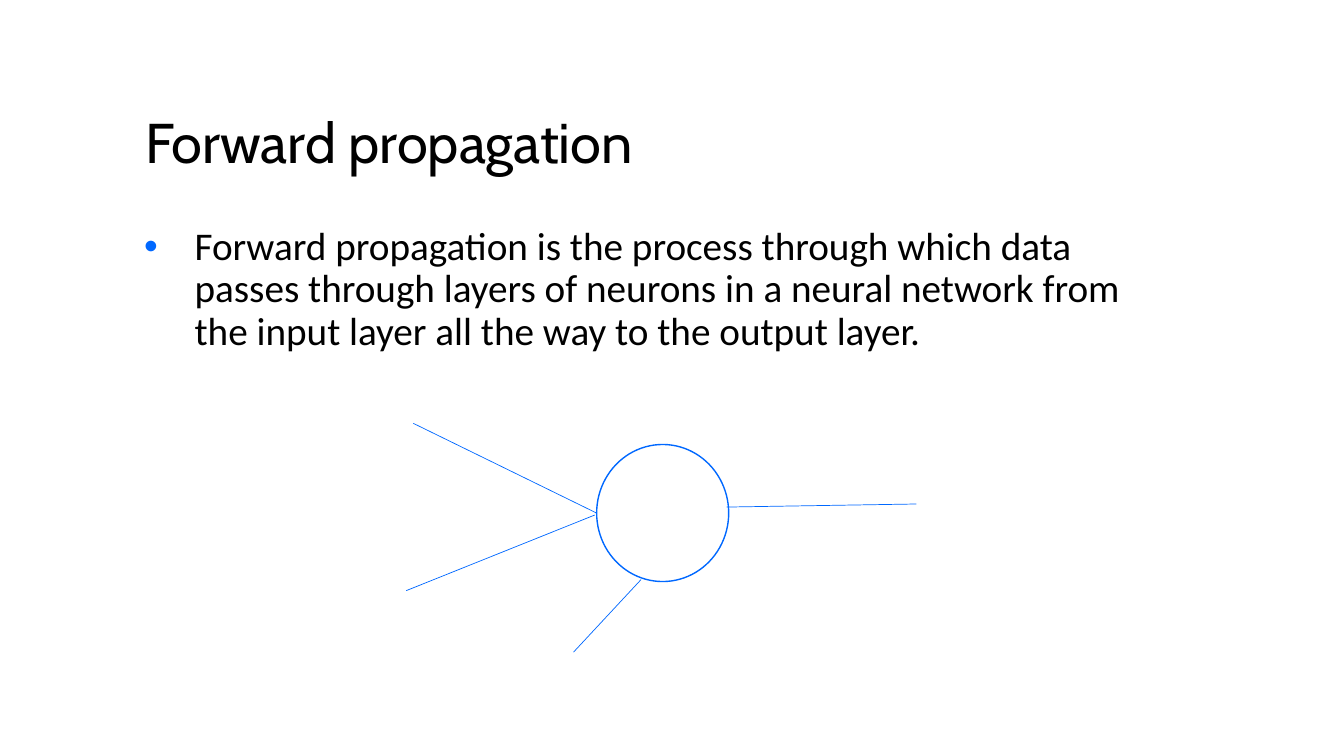
import pptx
import pptx.util
import pptx.dml.color
import pptx.enum.shapes
import pptx.enum.text
import pptx.oxml.ns
import lxml.etree

Pt = pptx.util.Pt
RGBColor = pptx.dml.color.RGBColor
BLACK = RGBColor(0, 0, 0)
WHITE = RGBColor(255, 255, 255)
BLUE = RGBColor(0, 104, 255)

TITLE = "Forward propagation"
BODY = ("Forward propagation is the process through which data passes through "
        "layers of neurons in a neural network from the input layer all the "
        "way to the output layer.")
LINKS = [
    ((136.2, 64.5), (5.2, 0.4)),
    ((134.8, 65.9), (0.2, 119.9)),
    ((364.5, 58), (229.1, 60.2)),
    ((167.9, 112), (119.7, 163.8)),
]


def add(node, tag, **attrs):
    return lxml.etree.SubElement(node, pptx.oxml.ns.qn(tag), **attrs)


def write(shape, text, font, size, color=BLACK, space=1.0, after=0,
          anchor=pptx.enum.text.MSO_ANCHOR.TOP, inset=None, bullet=None):
    frame = shape.text_frame
    frame.word_wrap = True
    frame.auto_size = pptx.enum.text.MSO_AUTO_SIZE.NONE
    frame.vertical_anchor = anchor
    if inset is not None:
        frame.margin_left = frame.margin_right = Pt(inset)
        frame.margin_top = frame.margin_bottom = Pt(inset)
    para = frame.paragraphs[0]
    if bullet:
        props = para._p.get_or_add_pPr()
        props.set("marL", str(Pt(36)))
        props.set("indent", str(-Pt(36)))
        add(add(props, "a:buClr"), "a:srgbClr", val=str(BLUE))
        add(props, "a:buFont", typeface="Arial")
        add(props, "a:buChar", char=bullet)
    para.alignment = pptx.enum.text.PP_ALIGN.LEFT
    para.line_spacing = space
    para.space_before = Pt(0)
    para.space_after = Pt(after)
    run = para.add_run()
    run.text = text
    run.font.name = font
    run.font.size = Pt(size)
    run.font.color.rgb = color


def head(slide, left, top, width, height):
    title = slide.shapes.title
    title.left, title.top = Pt(left), Pt(top)
    title.width, title.height = Pt(width), Pt(height)
    write(title, TITLE, "Cabin", 40, space=0.8,
          anchor=pptx.enum.text.MSO_ANCHOR.MIDDLE)


def body(slide, left, top, width, height):
    box = slide.shapes.add_textbox(Pt(left), Pt(top), Pt(width), Pt(height))
    write(box, BODY, "Calibri", 28, space=0.9, after=6, inset=3.6, bullet="•")


def neuron(slide, left, top):
    cell = slide.shapes.add_shape(
        pptx.enum.shapes.MSO_SHAPE.FLOWCHART_CONNECTOR,
        Pt(left + 136.2), Pt(top + 15.5), Pt(94.3), Pt(97.9))
    cell.shadow.inherit = False
    cell.fill.solid()
    cell.fill.fore_color.rgb = WHITE
    cell.line.color.rgb = BLUE
    cell.line.width = Pt(1)
    for (x1, y1), (x2, y2) in LINKS:
        link = slide.shapes.add_connector(
            pptx.enum.shapes.MSO_CONNECTOR.STRAIGHT,
            Pt(left + x1), Pt(top + y1), Pt(left + x2), Pt(top + y2))
        link.line.color.rgb = BLUE
        link.line.width = Pt(0.5)
        add(link._element.spPr, "a:effectLst")


def main():
    deck = pptx.Presentation()
    deck.slide_width, deck.slide_height = Pt(960), Pt(540)
    slide = deck.slides.add_slide(deck.slide_layouts[5])
    slide.background.fill.solid()
    slide.background.fill.fore_color.rgb = WHITE
    head(slide, 96.5, 46, 761, 118)
    body(slide, 99.4, 158.4, 745.2, 309.6)
    neuron(slide, 290, 302)
    deck.save("out.pptx")


if __name__ == "__main__":
    main()
